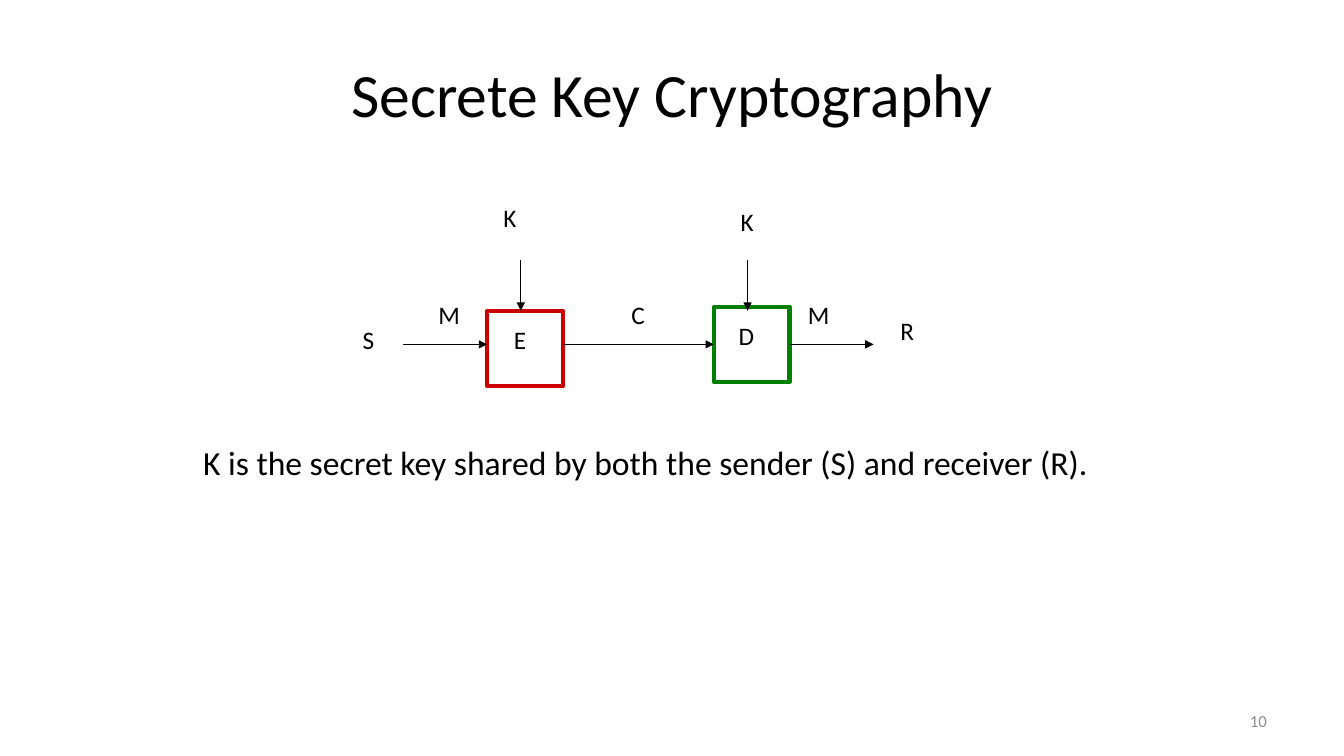
import pptx
import pptx.util
import pptx.dml.color
import pptx.enum.shapes
import pptx.enum.text
import lxml.etree

Pt = pptx.util.Pt
ALIGN = pptx.enum.text.PP_ALIGN
ANCHOR = pptx.enum.text.MSO_ANCHOR

BLACK = "000000"
TITLE = "Secrete Key Cryptography"
SENTENCE = "K is the secret key shared by both the sender (S) and receiver (R)."
PAGE_NUMBER = "10"

BOX_SIZE = 54
BOXES = [(348, 222, "CC0000"), (510, 219, "008000")]

FLOW_Y = 246
SENDER_X, RECEIVER_X = 288, 624
KEY_TOP, KEY_BOTTOM, KEY_OFFSET = 186, 222, 24

LABEL_HEIGHT = 29
LABELS = [
    ("S", 252, 228, 23),
    ("M", 306, 210, 30),
    ("E", 360, 228, 23),
    ("C", 444, 210, 30),
    ("D", 520.5, 225.5, 26),
    ("M", 570, 210, 30),
    ("R", 636, 222, 24.5),
    ("K", 352.5, 141, 24),
    ("K", 522, 144, 24),
]


def color(value):
    return pptx.dml.color.RGBColor.from_string(value)


def apply(target, values):
    for name, value in values.items():
        setattr(target, name, value)


def write(shape, text, size, fill=BLACK, align=ALIGN.LEFT, anchor=ANCHOR.TOP, wrap=True):
    frame = shape.text_frame
    apply(frame, {"text": text, "word_wrap": wrap, "vertical_anchor": anchor,
                  "auto_size": pptx.enum.text.MSO_AUTO_SIZE.NONE})
    paragraph = frame.paragraphs[0]
    paragraph.alignment = align
    apply(paragraph.runs[0].font, {"name": "Calibri", "size": Pt(size)})
    paragraph.runs[0].font.color.rgb = color(fill)


def add_text(slide, place, text, size, **options):
    write(slide.shapes.add_textbox(*map(Pt, place)), text, size, **options)


def add_box(slide, left, top, line_color):
    box = slide.shapes.add_shape(pptx.enum.shapes.MSO_SHAPE.RECTANGLE,
                                 *map(Pt, (left, top, BOX_SIZE, BOX_SIZE)))
    box.shadow.inherit = False
    box.fill.background()
    box.line.color.rgb = color(line_color)
    box.line.width = Pt(3)


def add_arrow(slide, *ends):
    arrow = slide.shapes.add_connector(pptx.enum.shapes.MSO_CONNECTOR.STRAIGHT, *map(Pt, ends))
    arrow.line.color.rgb = color(BLACK)
    arrow.line.width = Pt(0.75)
    namespace = "{http://schemas.openxmlformats.org/drawingml/2006/main}"
    properties = arrow.element.spPr
    line = properties.find(namespace + "ln")
    lxml.etree.SubElement(line, namespace + "tailEnd", type="triangle")
    lxml.etree.SubElement(properties, namespace + "effectLst")


def main():
    presentation = pptx.Presentation()
    apply(presentation, {"slide_width": Pt(960), "slide_height": Pt(540)})
    slide = presentation.slides.add_slide(presentation.slide_layouts[5])

    title = slide.shapes.title
    apply(title, {"left": Pt(48), "top": Pt(21.6), "width": Pt(864), "height": Pt(90)})
    write(title, TITLE, 44, align=ALIGN.CENTER, anchor=ANCHOR.MIDDLE)

    for left, top, line_color in BOXES:
        add_box(slide, left, top, line_color)
        add_arrow(slide, left + KEY_OFFSET, KEY_TOP, left + KEY_OFFSET, KEY_BOTTOM)

    starts = [SENDER_X] + [left + BOX_SIZE for left, _, _ in BOXES]
    stops = [left for left, _, _ in BOXES] + [RECEIVER_X]
    for start, stop in zip(starts, stops):
        add_arrow(slide, start, FLOW_Y, stop, FLOW_Y)

    for text, left, top, width in LABELS:
        add_text(slide, (left, top, width, LABEL_HEIGHT), text, 18, wrap=False)

    add_text(slide, (138, 312, 690, 36), SENTENCE, 24)
    add_text(slide, (688, 500.5, 224, 28.8), PAGE_NUMBER, 12, fill="8C8C8C",
             align=ALIGN.RIGHT, anchor=ANCHOR.MIDDLE)

    presentation.save("out.pptx")


if __name__ == "__main__":
    main()
